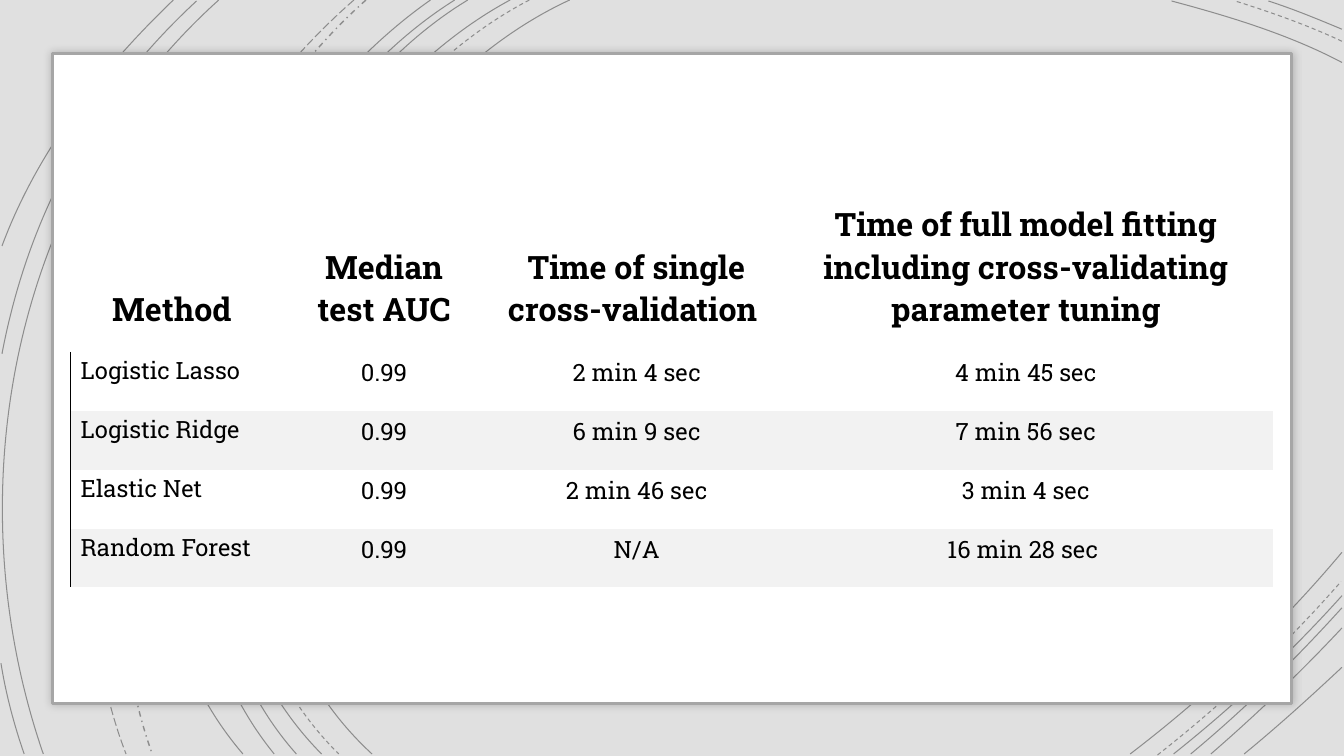
import pptx
import pptx.util
import pptx.dml.color
import pptx.enum.dml
import pptx.enum.shapes
import pptx.enum.text
import pptx.oxml
import pptx.oxml.ns
from lxml import etree

Inches, Pt = pptx.util.Inches, pptx.util.Pt
DASH = pptx.enum.dml.MSO_LINE
ALIGN = pptx.enum.text.PP_ALIGN
ANCHOR = pptx.enum.text.MSO_ANCHOR
qn = pptx.oxml.ns.qn

FONT = "Roboto Slab"
COLORS = {"bg": "E0E0E0", "ink": "000000", "card": "FFFFFF",
          "edge": "A6A6A6", "band": "F2F2F2"}
ARC_OPACITY = 36

# Each arc: start, two control points and end of a curve, in inches
ARCS = {
    DASH.SOLID: [
        [(5.65, 0), (3.15, 1.15), (1.43, 5.4), (3.69, 7.48)],
        [(13.31, 0.62), (12.78, 0.34), (12.18, 0.16), (11.62, 0.01)],
        [(11.21, 7.48), (11.97, 6.9), (12.69, 6.22), (13.31, 5.48)],
        [(5.06, 0), (2.7, 1.27), (1.1, 5.37), (3.19, 7.48)],
        [(13.31, 0.29), (13.07, 0.19), (12.83, 0.09), (12.58, 0.01)],
        [(11.64, 7.48), (12.23, 7.01), (12.8, 6.48), (13.31, 5.91)],
        [(4.64, 0), (2.44, 1.33), (1.1, 5.41), (2.94, 7.48)],
        [(11.81, 7.48), (12.34, 7.04), (12.84, 6.55), (13.31, 6.03)],
        [(4.51, 0), (2.31, 1.38), (0.97, 5.33), (2.72, 7.48)],
        [(12.01, 7.48), (12.46, 7.09), (12.9, 6.67), (13.31, 6.23)],
        [(4.27, 0), (2.17, 1.47), (0.53, 5.29), (2.41, 7.48)],
        [(12.34, 7.48), (12.67, 7.21), (12.99, 6.92), (13.31, 6.62)],
        [(2.17, 0), (0.11, 1.85), (-0.46, 4.9), (0.43, 7.48)],
        [(1.95, 0.01), (0.92, 0.96), (0.28, 2.14), (0.02, 3.51)],
        [(0.01, 6.58), (0.06, 6.89), (0.14, 7.19), (0.24, 7.48)],
        [(1.72, 0), (1, 0.69), (0.37, 1.5), (0.02, 2.44)],
    ],
    DASH.DASH: [
        [(5.25, 0), (2.85, 1.25), (1.23, 5.37), (3.36, 7.48)],
        [(13.31, 0.41), (12.97, 0.25), (12.6, 0.12), (12.25, 0.01)],
        [(11.48, 7.49), (12.13, 6.98), (12.75, 6.4), (13.3, 5.77)],
    ],
    DASH.DASH_DOT: [[(3.63, 0), (1.76, 1.66), (0.65, 5.09), (1.51, 7.48)]],
    DASH.LONG_DASH: [[(3.51, 0), (1.57, 1.69), (0.29, 4.99), (1.25, 7.48)]],
}

HEADERS = ["Method", "Median test AUC", "Time of single cross-validation ",
           "Time of full model fitting including cross-validating parameter tuning"]
RESULTS = [
    ["Logistic Lasso", "0.99", "2 min 4 sec", "4 min 45 sec"],
    ["Logistic Ridge", "0.99", "6 min 9 sec", "7 min 56 sec"],
    ["Elastic Net", "0.99", "2 min 46 sec", "3 min 4 sec"],
    ["Random Forest", "0.99", "N/A", "16 min 28 sec "],
]
COL_SHARES = [2.24, 1.97, 3.04, 4.68]
HEADER_H = 1.82


def rgb(name):
    return pptx.dml.color.RGBColor.from_string(COLORS[name])


def set_opacity(color_el, percent):
    etree.SubElement(color_el, qn("a:alpha"), val=str(percent * 1000))


def write_text(tf, text, size=17, bold=False, color="ink", align=ALIGN.LEFT):
    p = tf.paragraphs[0]
    p.alignment = align
    r = p.add_run()
    r.text = text
    r.font.name, r.font.size, r.font.bold = FONT, Pt(size), bold
    r.font.color.rgb = rgb(color)


def add_arc(s, left, top, points, dash):
    """Draw one open curve, placed from the given left and top."""
    pts = [(Inches(left + x), Inches(top + y)) for x, y in points]
    fb = s.shapes.build_freeform(*pts[0])
    fb.add_line_segments(pts[1:], close=False)
    sp = fb.convert_to_shape()
    # Join the three segments into one cubic curve
    segments = list(sp.element.iter(qn("a:lnTo")))
    curve = etree.SubElement(segments[0].getparent(), qn("a:cubicBezTo"))
    for seg in segments:
        curve.append(seg[0])
        seg.getparent().remove(seg)
    sp.shadow.inherit = False
    sp.fill.background()
    sp.line.color.rgb = rgb("ink")
    sp.line.width = Pt(1 if dash == DASH.DASH_DOT else 0.75)
    sp.line.dash_style = dash
    set_opacity(next(sp.line._ln.iter(qn("a:srgbClr"))), ARC_OPACITY)


def add_backdrop(s, left, top):
    s.background.fill.solid()
    s.background.fill.fore_color.rgb = rgb("bg")
    for dash, arcs in ARCS.items():
        for points in arcs:
            add_arc(s, left, top, points, dash)


def add_card(s, left, top, width, height):
    sp = s.shapes.add_shape(pptx.enum.shapes.MSO_SHAPE.RECTANGLE, Inches(left),
                            Inches(top), Inches(width), Inches(height))
    sp.fill.solid()
    sp.fill.fore_color.rgb = rgb("card")
    sp.line.color.rgb = rgb("edge")
    sp.line.width = Pt(1.75)
    # Soft shadow all round
    sp.shadow.inherit = False
    effects = sp.element.spPr.find(qn("a:effectLst"))
    glow = etree.SubElement(effects, qn("a:outerShdw"), blurRad=str(Pt(6)),
                            dist="0", dir="0", algn="ctr", rotWithShape="0")
    set_opacity(etree.SubElement(glow, qn("a:srgbClr"), val=COLORS["ink"]), 20)


def set_borders(cell, left_line):
    tcPr = cell._tc.get_or_add_tcPr()
    for side in ("L", "R", "T", "B"):
        visible = side == "L" and left_line
        ln = etree.SubElement(tcPr, qn("a:ln" + side), w=str(Pt(0.75)))
        fill = etree.SubElement(ln, qn("a:solidFill" if visible else "a:noFill"))
        if visible:
            etree.SubElement(fill, qn("a:srgbClr"), val=COLORS["ink"])


def add_results(s, left, top, width, height):
    rows = [HEADERS] + RESULTS
    tbl = s.shapes.add_table(len(rows), len(HEADERS), Inches(left), Inches(top),
                             Inches(width), Inches(height)).table
    tbl.first_row = tbl.horz_banding = False
    for col, share in zip(tbl.columns, COL_SHARES):
        col.width = Inches(width * share / sum(COL_SHARES))
    for i, row in enumerate(rows):
        header = i == 0
        row_h = HEADER_H if header else (height - HEADER_H) / len(RESULTS)
        tbl.rows[i].height = Inches(row_h)
        for j, text in enumerate(row):
            cell = tbl.cell(i, j)
            method = j == 0 and not header
            cell.margin_left, cell.margin_top = Inches(0.1), Inches(0.03)
            cell.margin_right, cell.margin_bottom = Inches(0.33), Inches(0.21)
            cell.vertical_anchor = (ANCHOR.BOTTOM if header else
                                    ANCHOR.TOP if method else ANCHOR.MIDDLE)
            set_borders(cell, method)
            if i and i % 2 == 0:
                cell.fill.solid()
                cell.fill.fore_color.rgb = rgb("band")
            else:
                cell.fill.background()
            write_text(cell.text_frame, text, size=23 if header else 17, bold=header,
                       align=ALIGN.LEFT if method else ALIGN.CENTER)


def main():
    prs = pptx.Presentation()
    prs.slide_width, prs.slide_height = Inches(13.33), Inches(7.5)
    s = prs.slides.add_slide(prs.slide_layouts[6])
    add_backdrop(s, 0, 0)
    add_card(s, 0.52, 0.53, 12.29, 6.45)
    add_results(s, 0.7, 1.67, 11.93, 4.16)
    prs.save("out.pptx")


if __name__ == "__main__":
    main()
